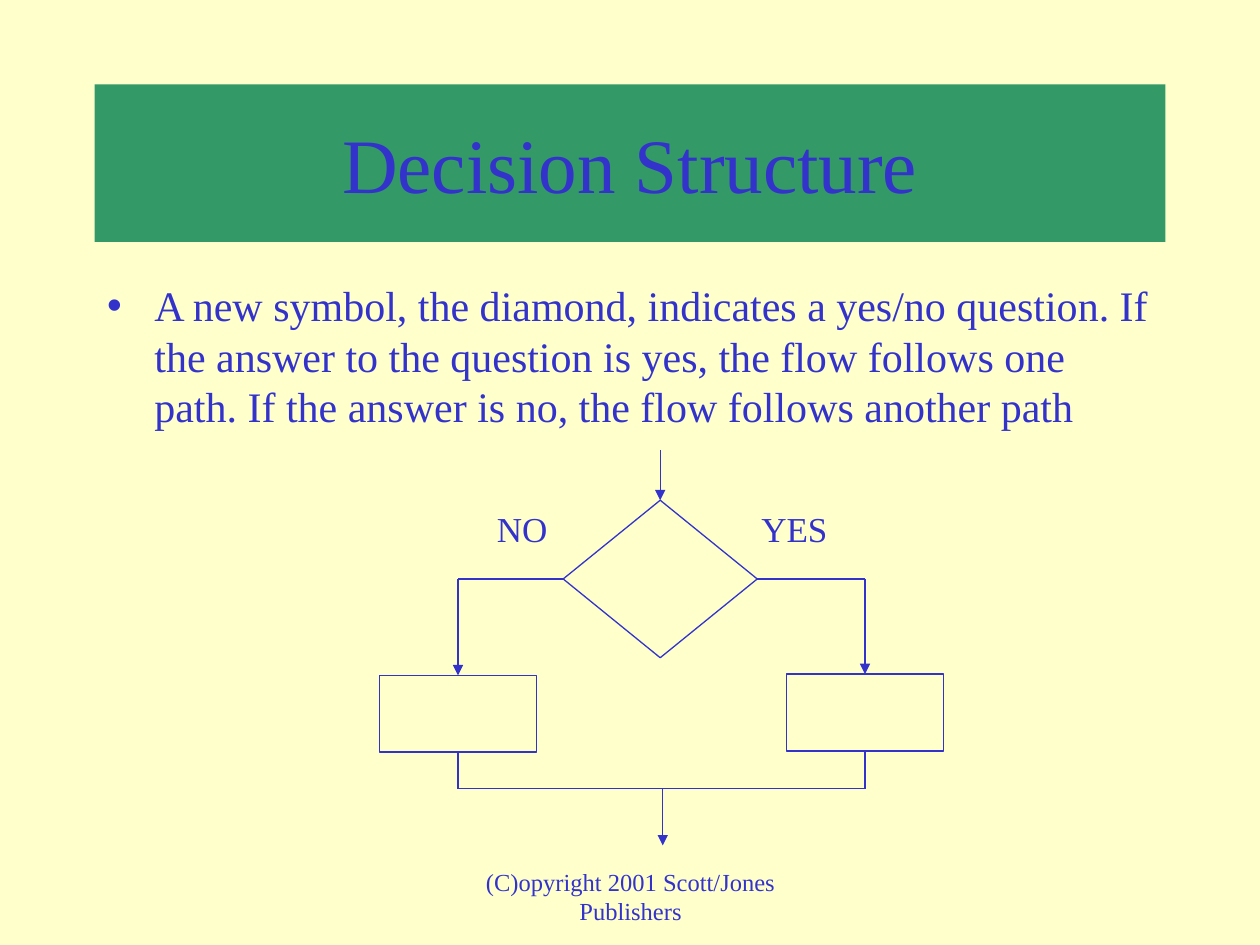
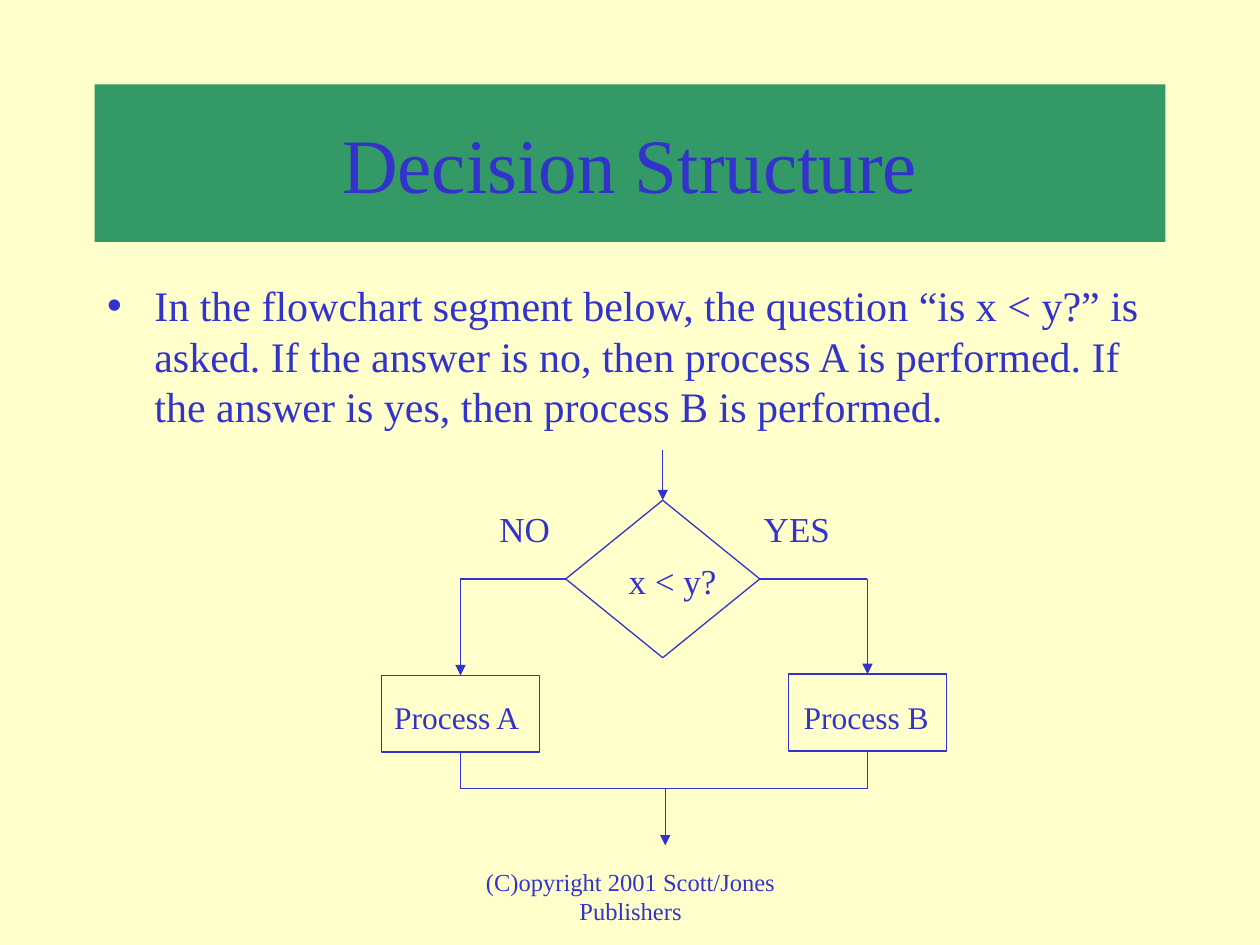
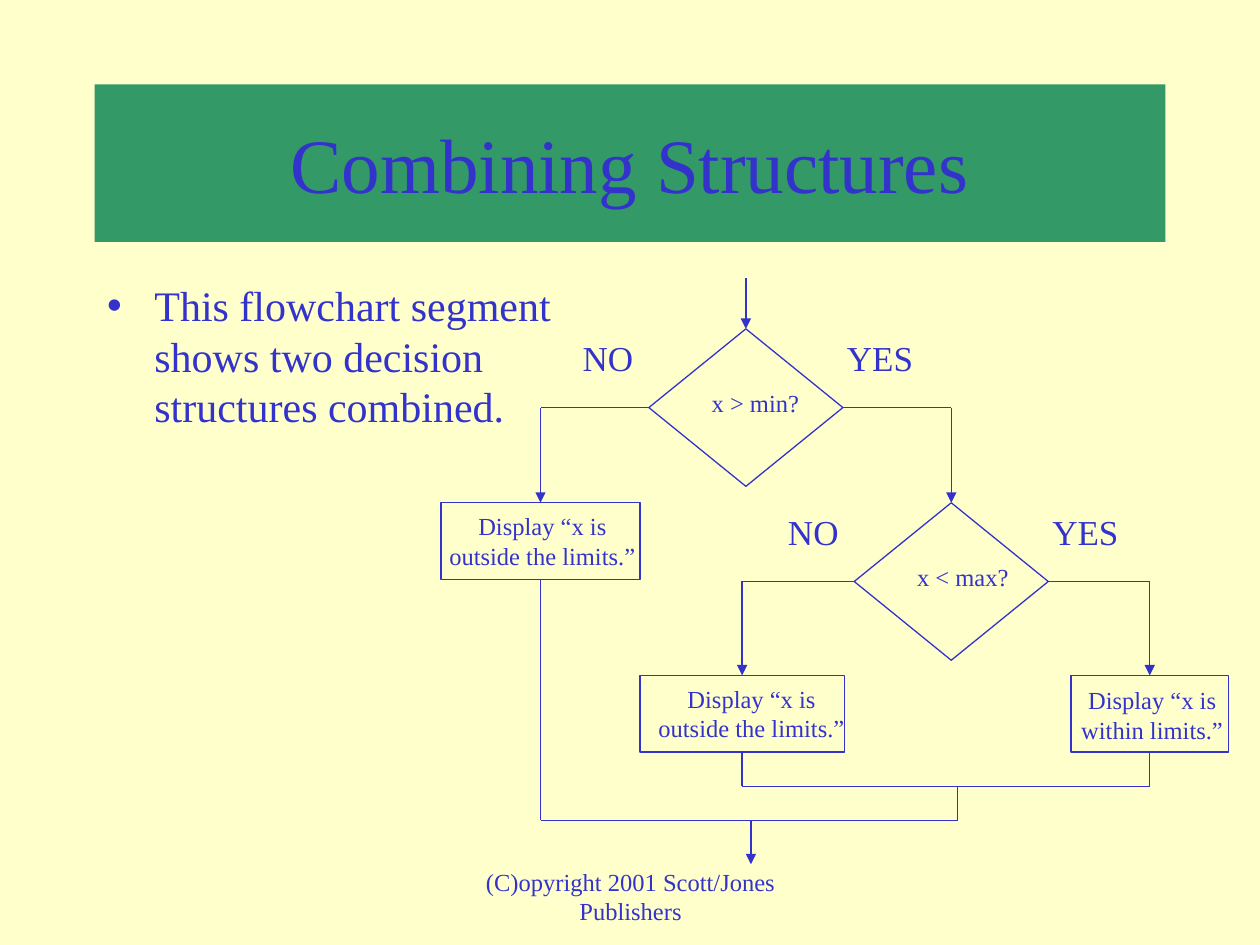
from collections import namedtuple
from dataclasses import dataclass

from lxml.etree import SubElement as Sub
from pptx import Presentation
from pptx.dml.color import RGBColor as Rgb
from pptx.enum.shapes import MSO_CONNECTOR as Wire, MSO_SHAPE as Kind
from pptx.enum.text import MSO_ANCHOR as Anchor, MSO_AUTO_SIZE as Fit, PP_ALIGN as Align
from pptx.oxml.ns import qn
from pptx.util import Inches, Pt

TOP, LEFT, BOTTOM, RIGHT = range(4)
COLS, ROWS = 100, 75
Spot = namedtuple("Spot", "x y shape site", defaults=(None, None))


@dataclass(frozen=True)
class Theme:
    font: str = "Times New Roman"
    ink: Rgb = Rgb(0x33, 0x33, 0xCC)
    band: Rgb = Rgb(0x33, 0x99, 0x66)
    paper: Rgb = Rgb(0xFF, 0xFF, 0xCC)
    title: int = 44
    body: int = 24
    label: int = 20
    step: int = 18
    small: int = 14
    stroke: float = 0.75


def write(frame, text, theme, size, align=Align.LEFT, anchor=Anchor.TOP):
    frame.word_wrap = True
    frame.auto_size = Fit.NONE
    frame.vertical_anchor = anchor
    para = frame.paragraphs[0]
    para.text = text
    para.alignment = align
    para.space_before = Pt(0)
    for run in para.runs:
        run.font.name = theme.font
        run.font.size = Pt(size)
        run.font.color.rgb = theme.ink


class Deck:
    def __init__(self, theme):
        self.theme = theme
        self.show = Presentation()
        self.show.slide_width = Inches(10)
        self.show.slide_height = Inches(7.5)
        self.col = self.show.slide_width / COLS
        self.row = self.show.slide_height / ROWS
        fill = self.show.slide_master.background.fill
        fill.solid()
        fill.fore_color.rgb = theme.paper
        self.slide = None

    def spot(self, x, y):
        return Spot(round(x * self.col), round(y * self.row))

    def area(self, x, y, w, h):
        return (*self.spot(x, y)[:2], *self.spot(w, h)[:2])

    def port(self, shape, site):
        across = {LEFT: 0, RIGHT: shape.width}.get(site, shape.width // 2)
        down = {TOP: 0, BOTTOM: shape.height}.get(site, shape.height // 2)
        return Spot(shape.left + across, shape.top + down, shape, site)

    def place(self, shape, *area):
        shape.left, shape.top, shape.width, shape.height = self.area(*area)

    def page(self, title, body):
        theme = self.theme
        self.slide = self.show.slides.add_slide(self.show.slide_layouts[1])
        head, main = self.slide.placeholders
        self.place(head, 7.5, 6.7, 85, 12.5)
        head.fill.solid()
        head.fill.fore_color.rgb = theme.band
        write(head.text_frame, title, theme, theme.title, Align.CENTER, Anchor.MIDDLE)
        self.place(main, 7.5, 21.7, 85, 45)
        write(main.text_frame, body, theme, theme.body)
        self.text("(C)opyright 2001 Scott/Jones Publishers", 34.2, 68.3, 31.7, 5,
                  size=theme.small, align=Align.CENTER)

    def text(self, text, *area, **style):
        box = self.slide.shapes.add_textbox(*self.area(*area))
        write(box.text_frame, text, self.theme, **style)

    def outline(self, kind, *area):
        shape = self.slide.shapes.add_shape(kind, *self.area(*area))
        shape.shadow.inherit = False
        shape.fill.background()
        shape.line.color.rgb = self.theme.ink
        shape.line.width = Pt(self.theme.stroke)
        return shape

    def box(self, x, y, w=12.5):
        return self.outline(Kind.RECTANGLE, x, y, w, 6.1)

    def gate(self, x, y, text=None, size=None):
        shape = self.outline(Kind.FLOWCHART_DECISION, x, y, 15.4, 12.5)
        for word, shift in (("YES", 14.2), ("NO", -7.4)):
            self.text(word, x + shift, y + 0.1, 8.3, 4.4,
                      size=self.theme.label, align=Align.CENTER)
        if text:
            self.text(text, x + 4, y + 4.2, 9.4, 4.4, size=size)
        return shape

    def line(self, start, end, tip=False):
        wire = self.slide.shapes.add_connector(
            Wire.STRAIGHT, start.x, start.y, end.x, end.y)
        for spot, join in ((start, wire.begin_connect), (end, wire.end_connect)):
            if spot.shape is not None:
                join(spot.shape, spot.site)
        wire.line.color.rgb = self.theme.ink
        wire.line.width = Pt(self.theme.stroke)
        props = wire.element.spPr
        if tip:
            Sub(props.find(qn("a:ln")), qn("a:tailEnd"), type="triangle")
        Sub(props, qn("a:effectLst"))

    def enter(self, gate):
        end = self.port(gate, TOP)
        self.line(Spot(end.x, end.y - round(4 * self.row)), end, tip=True)

    def leave(self, x, y, end):
        self.line(self.spot(x, y), self.spot(x, end), tip=True)

    def branch(self, gate, left, right):
        for side, goal in ((LEFT, left), (RIGHT, right)):
            start, end = self.port(gate, side), self.port(goal, TOP)
            bend = Spot(end.x, start.y)
            self.line(start, bend)
            self.line(bend, end, tip=True)

    def merge(self, left, right, y):
        level = self.spot(0, y).y
        ends = []
        for start in (left, right):
            ends.append(Spot(start.x, level))
            self.line(start, ends[-1])
        self.line(*ends)

    def choice(self, x, text=None):
        left, right = self.box(x, 53.6), self.box(x + 32.3, 53.5)
        gate = self.gate(x + 14.6, 39.7, text, self.theme.label)
        self.enter(gate)
        self.branch(gate, left, right)
        self.merge(self.port(left, BOTTOM), self.port(right, BOTTOM), 62.6)
        self.leave(x + 22.5, 62.6, 67.1)


def main():
    theme = Theme()
    deck = Deck(theme)

    deck.page("Decision Structure",
              "A new symbol, the diamond, indicates a yes/no question. If the answer "
              "to the question is yes, the flow follows one path. If the answer is no, "
              "the flow follows another path")
    deck.choice(30.1)

    deck.page("Decision Structure",
              "In the flowchart segment below, the question “is x < y?” is asked. "
              "If the answer is no, then process A is performed. If the answer is yes, "
              "then process B is performed.")
    deck.choice(30.3, "x < y?")
    for name, x in (("Process A", 30.3), ("Process B", 62.8)):
        deck.text(name, x, 54.9, 12.4, 4, size=theme.step)

    deck.page("Combining Structures",
              "This flowchart segment\vshows two decision\vstructures combined.")
    low = deck.gate(51.5, 26.1, "x > min?", theme.small)
    high = deck.gate(67.8, 39.9, "x < max?", theme.small)
    under = deck.box(35, 39.9, 15.8)
    over = deck.box(50.8, 53.6, 16.2)
    within = deck.box(85, 53.6)
    outside = "Display “x is outside the limits.”"
    for text, x, y, w in ((outside, 34, 40.1, 18.1),
                          (outside, 50.6, 53.8, 18.1),
                          ("Display “x is within limits.”", 84.6, 53.9, 13.7)):
        deck.text(text, x, y, w, 5.7, size=theme.small, align=Align.CENTER)
    deck.enter(low)
    deck.branch(low, under, high)
    deck.branch(high, over, within)
    deck.merge(deck.port(over, BOTTOM), deck.port(within, BOTTOM), 62.4)
    deck.merge(deck.port(under, BOTTOM), deck.spot(76, 62.4), 65.1)
    deck.leave(59.6, 65.1, 68.6)

    deck.show.save("out.pptx")


if __name__ == "__main__":
    main()
